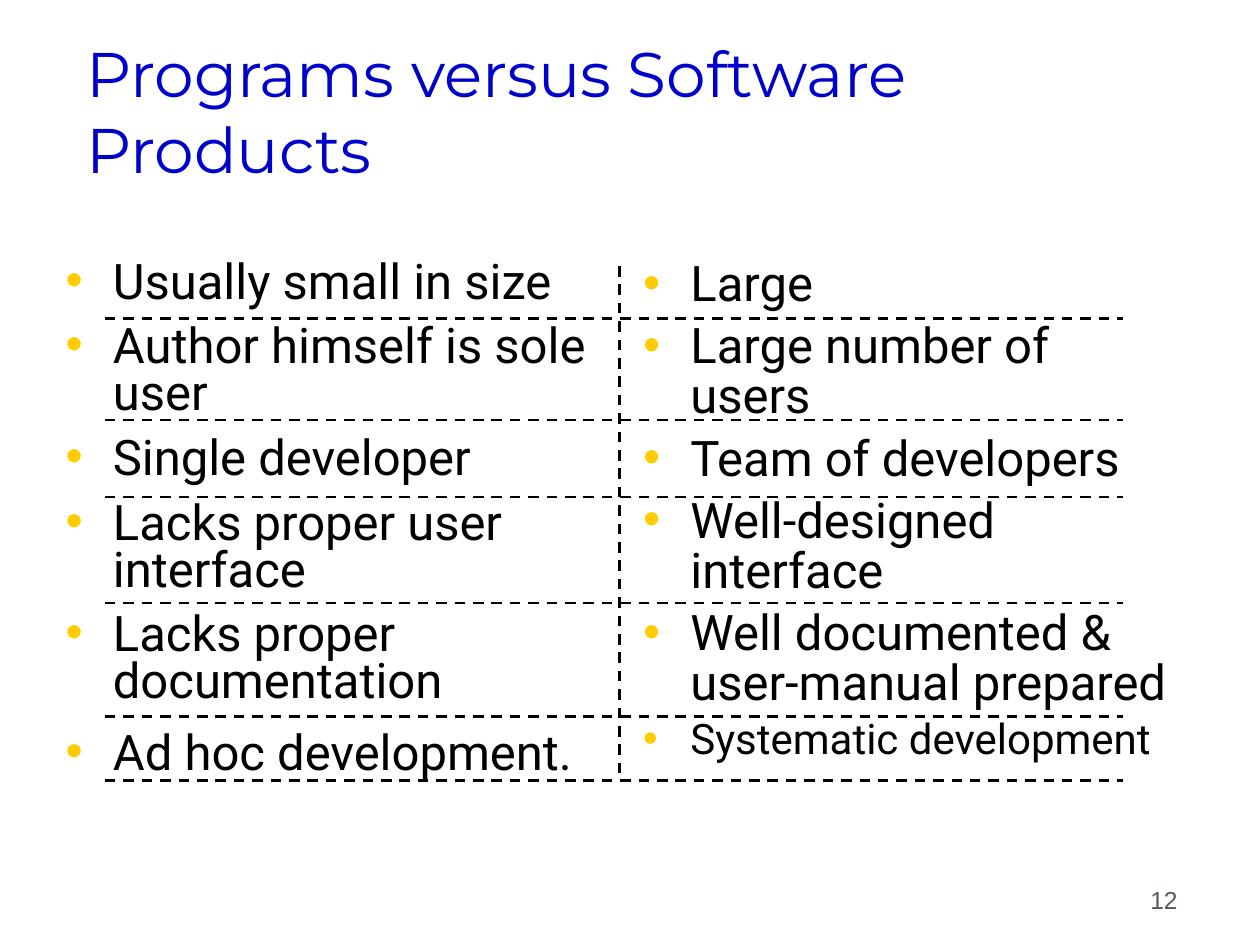
"""Builds a slide that compares programs with software products."""
from pptx import Presentation
from pptx import util as u
from pptx.dml.color import RGBColor
from pptx.enum import dml, shapes, text
from pptx.oxml import ns, xmlchemy as xml

HUES = {"title": "0000CC", "text": "000000", "dot": "FFCC00", "page": "5E574E"}

LEFT = ["Usually small in size", "Author himself is sole user", "Single developer",
        "Lacks proper user interface", "Lacks proper documentation",
        "Ad hoc development."]
RIGHT = ["Large", "Large number of users", "Team of developers",
         "Well-designed interface", "Well documented & user-manual prepared",
         "Systematic development"]
RULES = [182, 240, 284, 344.5, 409.5, 446]


def add_box(slide, area, words, side=1.5, anchor=text.MSO_ANCHOR.TOP):
    """Add a wrapped text box and return its frame."""
    frame = slide.shapes.add_textbox(*map(u.Pt, area)).text_frame
    frame.word_wrap = True
    frame.vertical_anchor = anchor
    frame.margin_left = frame.margin_right = u.Pt(side)
    frame.text = words
    return frame


def style(para, face, size, hue):
    """Format every run of a paragraph."""
    for run in para.runs:
        run.font.name = face
        run.font.size = u.Pt(size)
        run.font.color.rgb = RGBColor.from_string(HUES[hue])


def add_dot(para, indent=27):
    """Give a paragraph a coloured bullet and a hanging indent."""
    props = para._p.get_or_add_pPr()
    props.set("marL", str(u.Pt(indent)))
    props.set("indent", str(u.Pt(-indent)))
    color = xml.OxmlElement("a:buClr")
    fill = xml.OxmlElement("a:srgbClr")
    fill.set("val", HUES["dot"])
    color.append(fill)
    font = xml.OxmlElement("a:buFont")
    font.set("typeface", "Arial")
    char = xml.OxmlElement("a:buChar")
    char.set("char", "•")
    props.extend([color, font, char])


def add_list(slide, area, items, pitch, gap, last_gap, last_size):
    """Add a bulleted column whose last item has its own gap and size."""
    paras = add_box(slide, area, "\n".join(items)).paragraphs
    for para in paras:
        last = para is paras[-1]
        para.line_spacing = pitch
        para.space_before = u.Pt(last_gap if last else gap)
        style(para, "Roboto", last_size if last else 28, "text")
        add_dot(para)


def add_rule(slide, *ends):
    """Add a dashed straight line."""
    rule = slide.shapes.add_connector(shapes.MSO_CONNECTOR.STRAIGHT, *map(u.Pt, ends))
    rule.line.color.rgb = RGBColor.from_string(HUES["text"])
    rule.line.width = u.Pt(1.5)
    rule.line.dash_style = dml.MSO_LINE.DASH
    rule._element.find(ns.qn("p:spPr")).append(xml.OxmlElement("a:effectLst"))


def main():
    """Build and save the slide."""
    deck = Presentation()
    deck.slide_width, deck.slide_height = u.Pt(720), u.Pt(540)
    slide = deck.slides.add_slide(deck.slide_layouts[6])

    page = add_box(slide, (530, 490, 150, 36), "12", 7.2, text.MSO_ANCHOR.BOTTOM)
    page.paragraphs[0].alignment = text.PP_ALIGN.RIGHT
    style(page.paragraphs[0], "Arial", 14, "page")

    title = add_box(slide, (48, 18, 612, 90), "Programs versus Software Products",
                    anchor=text.MSO_ANCHOR.MIDDLE)
    title.paragraphs[0].space_before = u.Pt(8)
    style(title.paragraphs[0], "Montserrat", 36, "title")

    add_list(slide, (36, 146, 317.5, 368), LEFT, 0.8, 10, 14, 28)
    add_list(slide, (366, 146, 306, 382), RIGHT, 0.85, 7, 5.4, 24)

    for y in RULES:
        add_rule(slide, 60, y, 642, y)
    add_rule(slide, 354, 152, 354, RULES[-1])
    deck.save("out.pptx")


if __name__ == "__main__":
    main()
